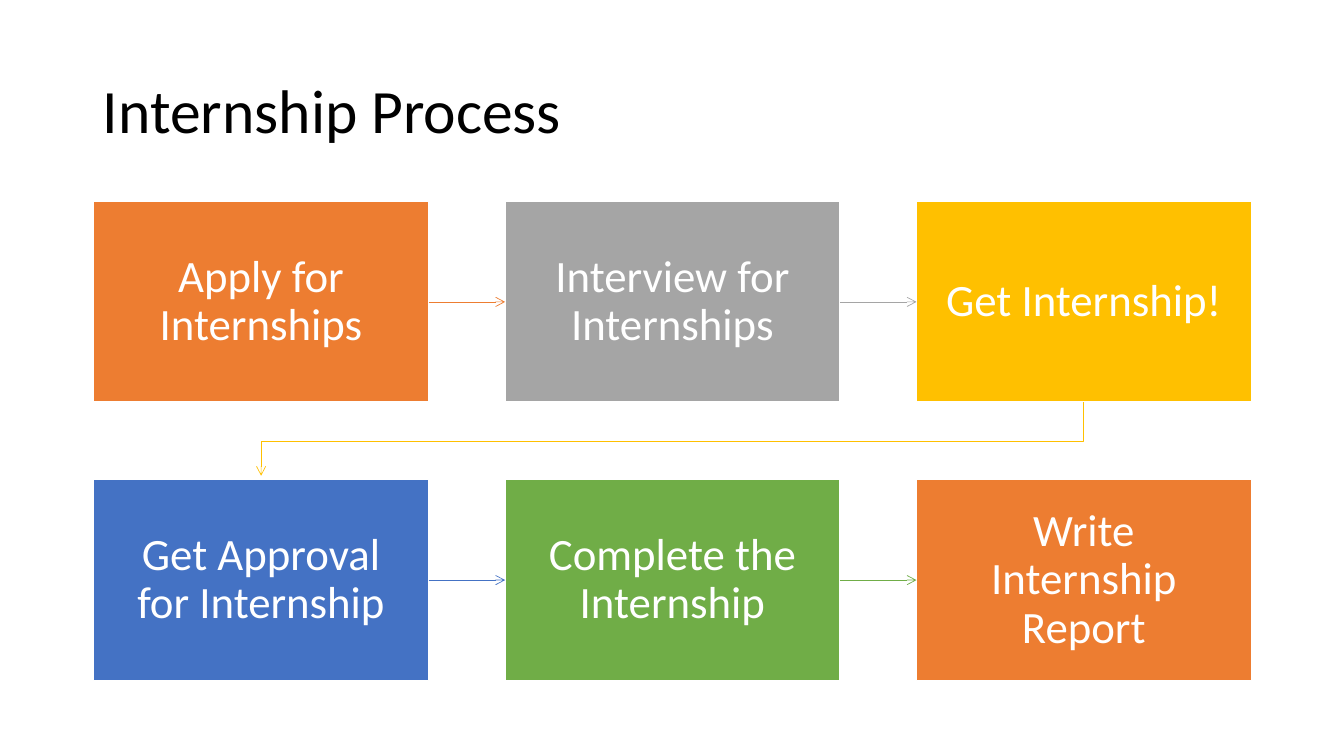
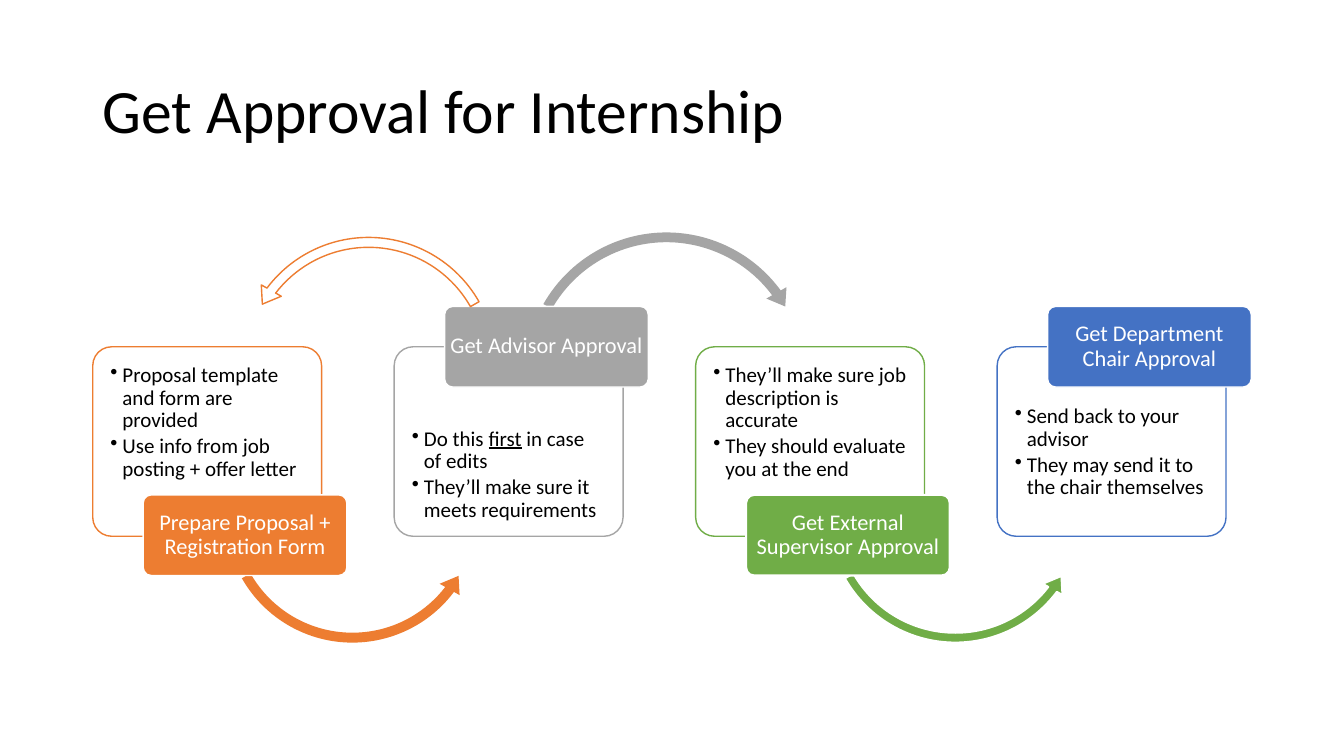
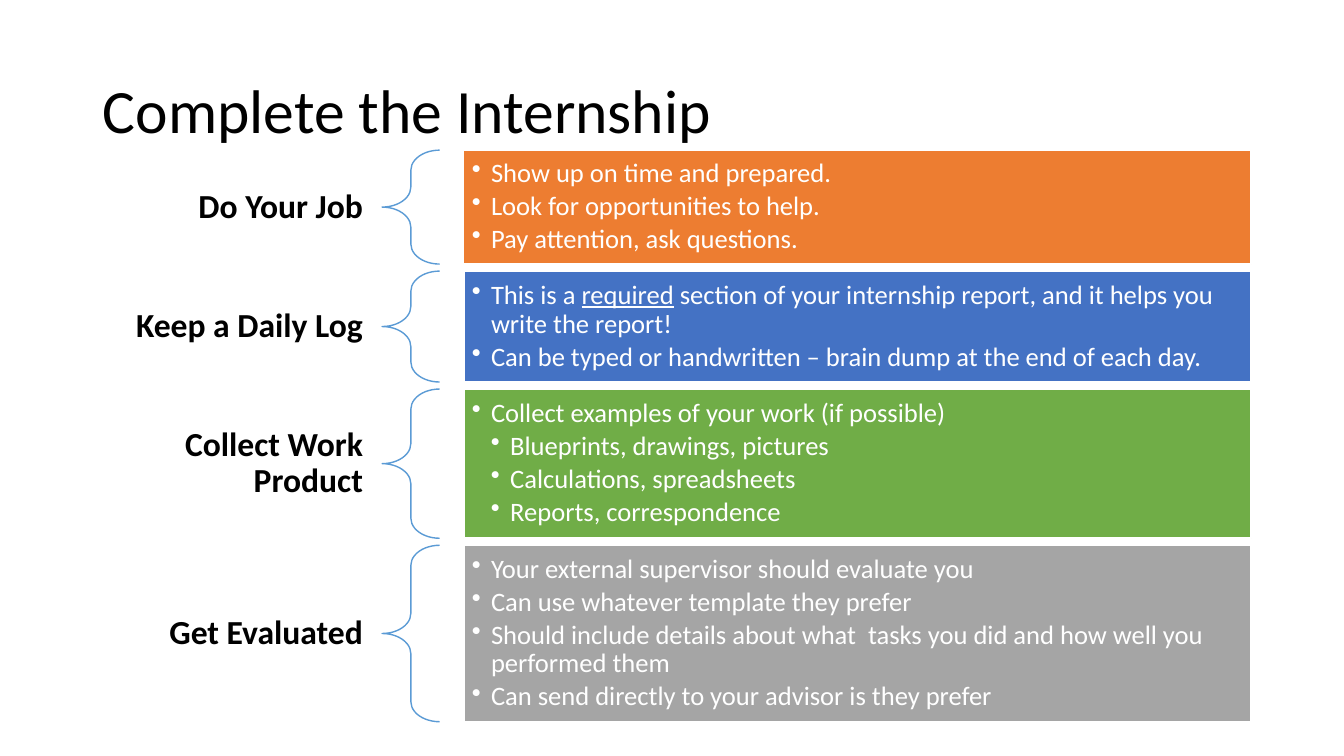
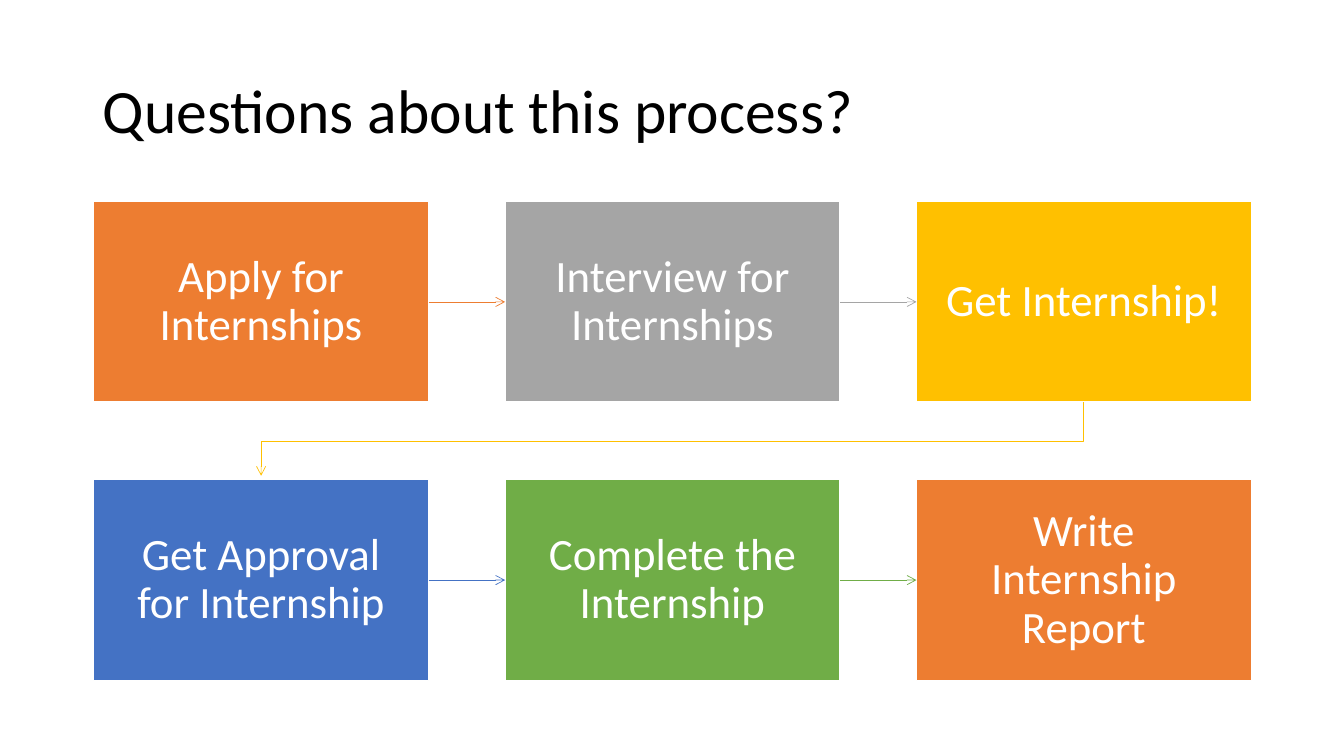
from lxml import etree
from pptx import Presentation
from pptx.dml.color import RGBColor
from pptx.enum.shapes import MSO_CONNECTOR, MSO_SHAPE
from pptx.enum.text import MSO_ANCHOR, PP_ALIGN
from pptx.oxml.ns import qn
from pptx.util import Inches, Pt

# Shared style
FONT = "Calibri"
COLORS = {
    "black": "000000",
    "white": "FFFFFF",
    "orange": "ED7D31",
    "gray": "A5A5A5",
    "gold": "FFC000",
    "blue": "4472C4",
    "green": "70AD47",
    "sky": "5B9BD5",
}
TITLE_ONLY = 5
LEFT, CENTER, RIGHT = PP_ALIGN.LEFT, PP_ALIGN.CENTER, PP_ALIGN.RIGHT
TOP, MIDDLE, BOTTOM = MSO_ANCHOR.TOP, MSO_ANCHOR.MIDDLE, MSO_ANCHOR.BOTTOM
RECTANGLE, ROUNDED = MSO_SHAPE.RECTANGLE, MSO_SHAPE.ROUNDED_RECTANGLE
BRACE = MSO_SHAPE.LEFT_BRACE
CLOCKWISE, COUNTERCLOCKWISE = MSO_SHAPE.CIRCULAR_ARROW, MSO_SHAPE.LEFT_CIRCULAR_ARROW
STRAIGHT = MSO_CONNECTOR.STRAIGHT
LEFT_SIDE, RIGHT_SIDE = 1, 3

# Internship process, in reading order
PROCESS_STEPS = [
    ("Apply for Internships", "orange"),
    ("Interview for Internships", "gray"),
    ("Get Internship!", "gold"),
    ("Get Approval for Internship", "blue"),
    ("Complete the Internship", "green"),
    ("Write Internship Report", "orange"),
]
PROCESS_COLUMNS = 3

# Circular arrows: shaft width and head half-width in percent of the size,
# then head, end and start angles in degrees
LOW_ARC = {"kind": COUNTERCLOCKWISE, "size": 2.65, "shaft": 3.7, "head": 4.3,
           "angles": (7.62, 37.22, 150.41)}
HIGH_ARC = {"kind": CLOCKWISE, "size": 2.94, "shaft": 3.3, "head": 3.9,
            "angles": (6.81, 323.6, 209.59)}

# Approval: label, colour, details, label at the top, anchor of the details
APPROVAL_STEPS = [
    ("Prepare Proposal + Registration Form", "orange",
     ["Proposal template and form are provided",
      "Use info from job posting + offer letter"], False, TOP),
    ("Get Advisor Approval", "gray",
     ["Do this _first_ in case of edits",
      "They’ll make sure it meets requirements"], True, BOTTOM),
    ("Get External Supervisor Approval", "green",
     ["They’ll make sure job description is accurate",
      "They should evaluate you at the end"], False, TOP),
    ("Get Department Chair Approval", "blue",
     ["Send back to your advisor",
      "They may send it to the chair themselves"], True, TOP),
]

# Duties: label, colour, height, list with levels
DUTIES = [
    ("Do Your Job", "orange", 1.13, [
        "Show up on time and prepared.",
        "Look for opportunities to help.",
        "Pay attention, ask questions."]),
    ("Keep a Daily Log", "blue", 1.1, [
        "This is a _required_ section of your internship report, "
        "and it helps you write the report!",
        "Can be typed or handwritten – brain dump at the end of each day."]),
    ("Collect Work Product", "green", 1.48, [
        "Collect examples of your work (if possible)",
        ("Blueprints, drawings, pictures", 2),
        ("Calculations, spreadsheets", 2),
        ("Reports, correspondence", 2)]),
    ("Get Evaluated", "gray", 1.75, [
        "Your external supervisor should evaluate you",
        "Can use whatever template they prefer",
        "Should include details about what  tasks you did and how well you "
        "performed them",
        "Can send directly to your advisor is they prefer"]),
]


def rgb(name):
    return RGBColor.from_string(COLORS[name])


def add_bullet(paragraph, level, indent):
    properties = paragraph._p.get_or_add_pPr()
    properties.set("marL", str(Inches(indent * level)))
    properties.set("indent", str(-Inches(indent)))
    etree.SubElement(properties, qn("a:buChar")).set("char", "•")


def write_text(shape, text, *, size, color="white", bold=False, align=CENTER,
               anchor=MIDDLE, insets=(0.1, 0.05, 0.1, 0.05), bullet_indent=0):
    """Write a string, or a list of strings and (string, level) pairs.

    Words between underscores are underlined.
    """
    frame = shape.text_frame
    frame.word_wrap = True
    frame.vertical_anchor = anchor
    (frame.margin_left, frame.margin_top,
     frame.margin_right, frame.margin_bottom) = map(Inches, insets)
    items = [text] if isinstance(text, str) else text
    for index, item in enumerate(items):
        content, level = (item, 1) if isinstance(item, str) else item
        paragraph = frame.add_paragraph() if index else frame.paragraphs[0]
        paragraph.alignment = align
        paragraph.line_spacing = 0.9
        if bullet_indent:
            paragraph.level = level
            paragraph.space_after = Pt(round(size * 0.15))
            add_bullet(paragraph, level, bullet_indent)
        for part, words in enumerate(content.split("_")):
            run = paragraph.add_run()
            run.text = words
            run.font.name = FONT
            run.font.size = Pt(size)
            run.font.bold = bold
            run.font.color.rgb = rgb(color)
            if part % 2:
                run.font.underline = True


def style_line(shape, color, line_width):
    shape.line.color.rgb = rgb(color)
    shape.line.width = Pt(line_width)


def style_shape(shape, fill=None, line=None, line_width=1):
    shape.shadow.inherit = False
    if fill:
        shape.fill.solid()
        shape.fill.fore_color.rgb = rgb(fill)
    else:
        shape.fill.background()
    if line:
        style_line(shape, line, line_width)
    else:
        shape.line.fill.background()


def add_arrowhead(shape):
    line = shape.line._get_or_add_ln()
    etree.SubElement(line, qn("a:tailEnd")).set("type", "arrow")


def add_block(slide, kind, left, top, width, height, **style):
    shape = slide.shapes.add_shape(
        kind, Inches(left), Inches(top), Inches(width), Inches(height))
    style_shape(shape, **style)
    return shape


def add_arc(slide, left, top, *, kind, size, shaft, head, angles, **style):
    arc = add_block(slide, kind, left, top, size, size, **style)
    # Adjustments count 100000 to the unit, angles 60000 to the degree
    values = [shaft / 100, *(angle * 0.6 for angle in angles), head / 100]
    for index, value in enumerate(values):
        arc.adjustments[index] = value
    return arc


def add_arrow(slide, start, end, color):
    """Join the right side of one box to the left side of the next."""
    arrow = slide.shapes.add_connector(STRAIGHT, 0, 0, 0, 0)
    arrow.begin_connect(start, RIGHT_SIDE)
    arrow.end_connect(end, LEFT_SIDE)
    style_line(arrow, color, 0.5)
    add_arrowhead(arrow)
    etree.SubElement(arrow._element.spPr, qn("a:effectLst"))


def add_return_arrow(slide, start, end, color):
    """Lead from the end of one row to the start of the next."""
    start_x, end_x = (box.left + box.width // 2 for box in (start, end))
    start_y = start.top + start.height
    middle_y = (start_y + end.top) // 2
    builder = slide.shapes.build_freeform(start_x, start_y)
    builder.add_line_segments(
        [(start_x, middle_y), (end_x, middle_y), (end_x, end.top - Inches(0.04))],
        close=False)
    arrow = builder.convert_to_shape()
    style_shape(arrow, line=color, line_width=0.5)
    add_arrowhead(arrow)


def add_titled_slide(presentation, title):
    slide = presentation.slides.add_slide(presentation.slide_layouts[TITLE_ONLY])
    write_text(slide.shapes.title, title, size=44, color="black", align=LEFT)
    return slide


def add_process_slide(presentation, title):
    slide = add_titled_slide(presentation, title)
    boxes = []
    for index, (text, color) in enumerate(PROCESS_STEPS):
        row, column = divmod(index, PROCESS_COLUMNS)
        box = add_block(slide, RECTANGLE, 0.93 + 4.08 * column, 2 + 2.76 * row,
                        3.32, 1.99, fill=color, line="white")
        write_text(box, text, size=32, insets=(0.25,) * 4)
        boxes.append(box)
    # Each arrow takes the colour of the box it leaves
    for index, (start, end) in enumerate(zip(boxes, boxes[1:]), start=1):
        join = add_arrow if index % PROCESS_COLUMNS else add_return_arrow
        join(slide, start, end, PROCESS_STEPS[index - 1][1])


def add_approval_slide(presentation):
    slide = add_titled_slide(presentation, "Get Approval for Internship")
    for index, (label_text, color, details, label_on_top, anchor) in enumerate(
            APPROVAL_STEPS):
        left = 0.92 + 2.99 * index
        line_width = 1.5 if color == "green" else 1

        # Card with details
        card = add_block(slide, ROUNDED, left, 3.44, 2.27, 1.88,
                         fill="white", line=color)
        card.adjustments[0] = 0.1
        insets = (0.12, 0.53, 0.12, 0.09) if label_on_top else (0.12, 0.12, 0.12, 0.53)
        write_text(card, details, size=15, color="black", align=LEFT,
                   anchor=anchor, insets=insets, bullet_indent=0.12)

        # Arrow to the next card
        if index < len(APPROVAL_STEPS) - 1:
            arc, shift, top = (HIGH_ARC, 1.23, 2.24) if label_on_top else (
                LOW_ARC, 1.25, 3.79)
            outline = "white" if color == "green" else None
            add_arc(slide, left + shift, top, fill=color, line=outline,
                    line_width=line_width, **arc)

        # Label over the card's edge
        label = add_block(slide, ROUNDED, left + 0.5, 3.04 if label_on_top else 4.91,
                          2.02, 0.8, fill=color, line="white", line_width=line_width)
        label.adjustments[0] = 0.1
        write_text(label, label_text, size=16, insets=(0.02,) * 4)

    # Arrow back to the proposal
    back_arrow = add_arc(slide, 2.33, 2.29, fill="white", line="orange", **LOW_ARC)
    back_arrow.rotation = 180


def add_duties_slide(presentation):
    slide = add_titled_slide(presentation, "Complete the Internship")
    top = 1.49
    for label_text, color, height, duties in DUTIES:
        label = slide.shapes.add_textbox(
            Inches(0.92), Inches(top), Inches(2.87), Inches(height))
        write_text(label, label_text, size=24, color="black", bold=True,
                   align=RIGHT, insets=(0.19, 0.07, 0.19, 0.07))
        brace = add_block(slide, BRACE, 3.79, top, 0.57, height, line="sky")
        brace.adjustments[0] = 0.35
        block = add_block(slide, RECTANGLE, 4.6, top, 7.81, height, fill=color,
                          line="white", line_width=1 if color == "orange" else 1.5)
        write_text(block, duties, size=19, align=LEFT, insets=(0.08,) * 4,
                   bullet_indent=0.19)
        top += height + 0.07


def main():
    presentation = Presentation()
    presentation.slide_width = Inches(13.33)
    presentation.slide_height = Inches(7.5)

    # Title position for all slides
    title = presentation.slide_layouts[TITLE_ONLY].placeholders[0]
    title.left, title.top = Inches(0.92), Inches(0.4)
    title.width, title.height = Inches(11.5), Inches(1.45)

    add_process_slide(presentation, "Internship Process")
    add_approval_slide(presentation)
    add_duties_slide(presentation)
    add_process_slide(presentation, "Questions about this process?")
    presentation.save("out.pptx")


if __name__ == "__main__":
    main()
